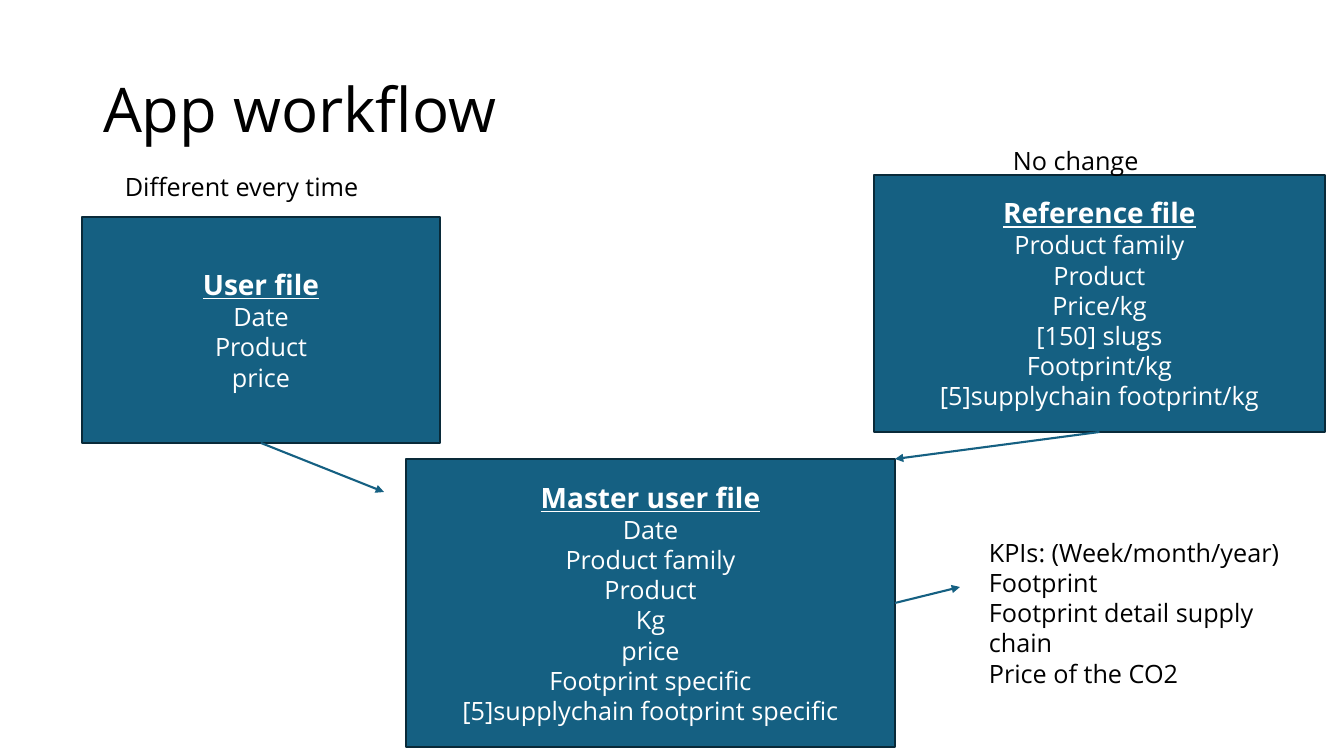
from lxml.etree import SubElement
from pptx import Presentation
from pptx.dml.color import RGBColor
from pptx.enum.shapes import MSO_CONNECTOR as Connector, MSO_SHAPE as Shape
from pptx.enum.text import MSO_ANCHOR as Anchor, MSO_AUTO_SIZE as AutoSize, PP_ALIGN as Align
from pptx.oxml.ns import qn
from pptx.util import Pt

EMU_PER_PX = 914400 / 100.8
FONT = "Open Sans"
BLACK, WHITE, BLUE, NAVY = "000000", "FFFFFF", "156082", "092A39"

SLIDE_SIZE = (1344, 756)
TITLE = ("App workflow", (93, 40, 1159, 146))

FILES = {
    "User file": ((82, 217, 358, 226), ["Date", "Product", "price"]),
    "Reference file": (
        (874, 175, 451, 257),
        ["Product family", "Product", "Price/kg", "[150] slugs",
         "Footprint/kg", "[5]supplychain footprint/kg"],
    ),
    "Master user file": (
        (406, 459, 489, 288),
        ["Date", "Product family", "Product", "Kg", "price",
         "Footprint specific", "[5]supplychain footprint specific"],
    ),
}

NOTES = [
    ((1003, 140, 347, 40), ["No change"]),
    ((115, 166, 347, 40), ["Different every time"]),
    ((979, 532, 347, 132), ["KPIs: (Week/month/year)", "Footprint",
                            "Footprint detail supply chain", "Price of the CO2"]),
]

TOP_RIGHT, BOTTOM_CENTRE, RIGHT_MIDDLE = (1, 0), (0.5, 1), (1, 0.5)


def px(*lengths):
    return [round(length * EMU_PER_PX) for length in lengths]


def colour(value):
    return RGBColor.from_string(value)


def anchor_point(file_name, fraction):
    left, top, width, height = FILES[file_name][0]
    return left + width * fraction[0], top + height * fraction[1]


def write(frame, lines, size=18, ink=BLACK, align=Align.LEFT, anchor=Anchor.TOP,
          heading_size=None, spacing=1.0):
    frame.word_wrap = True
    frame.auto_size = AutoSize.NONE
    frame.vertical_anchor = anchor
    for index, line in enumerate(lines):
        paragraph = frame.add_paragraph() if index else frame.paragraphs[0]
        paragraph.alignment = align
        paragraph.line_spacing = spacing
        run = paragraph.add_run()
        run.text = line
        is_heading = bool(heading_size) and index == 0
        font = run.font
        font.name = FONT
        font.size = Pt(heading_size if is_heading else size)
        font.bold = font.underline = is_heading
        font.color.rgb = colour(ink)


def add_file(slide, heading, box, fields):
    panel = slide.shapes.add_shape(Shape.RECTANGLE, *px(*box))
    panel.shadow.inherit = False
    panel.fill.solid()
    panel.fill.fore_color.rgb = colour(BLUE)
    panel.line.color.rgb = colour(NAVY)
    panel.line.width = Pt(1.5)
    write(panel.text_frame, [heading, *fields], ink=WHITE, align=Align.CENTER,
          anchor=Anchor.MIDDLE, heading_size=20)


def add_arrow(slide, start, end):
    arrow = slide.shapes.add_connector(Connector.STRAIGHT, *px(*start, *end))
    arrow.line.color.rgb = colour(BLUE)
    arrow.line.width = Pt(1.5)
    SubElement(arrow.line._get_or_add_ln(), qn("a:tailEnd"), type="triangle")
    SubElement(arrow._element.spPr, qn("a:effectLst"))


def main():
    deck = Presentation()
    deck.slide_width, deck.slide_height = px(*SLIDE_SIZE)
    slide = deck.slides.add_slide(deck.slide_layouts[5])

    title_text, title_box = TITLE
    title = slide.shapes.title
    title.left, title.top, title.width, title.height = px(*title_box)
    write(title.text_frame, [title_text], size=44, anchor=Anchor.MIDDLE, spacing=0.9)

    for heading, (box, fields) in FILES.items():
        add_file(slide, heading, box, fields)

    for box, lines in NOTES:
        write(slide.shapes.add_textbox(*px(*box)).text_frame, lines)

    flows = [
        (anchor_point("User file", BOTTOM_CENTRE), (384, 492)),
        (anchor_point("Reference file", BOTTOM_CENTRE),
         anchor_point("Master user file", TOP_RIGHT)),
        (anchor_point("Master user file", RIGHT_MIDDLE), (960, 587)),
    ]
    for start, end in flows:
        add_arrow(slide, start, end)

    deck.save("out.pptx")


if __name__ == "__main__":
    main()
